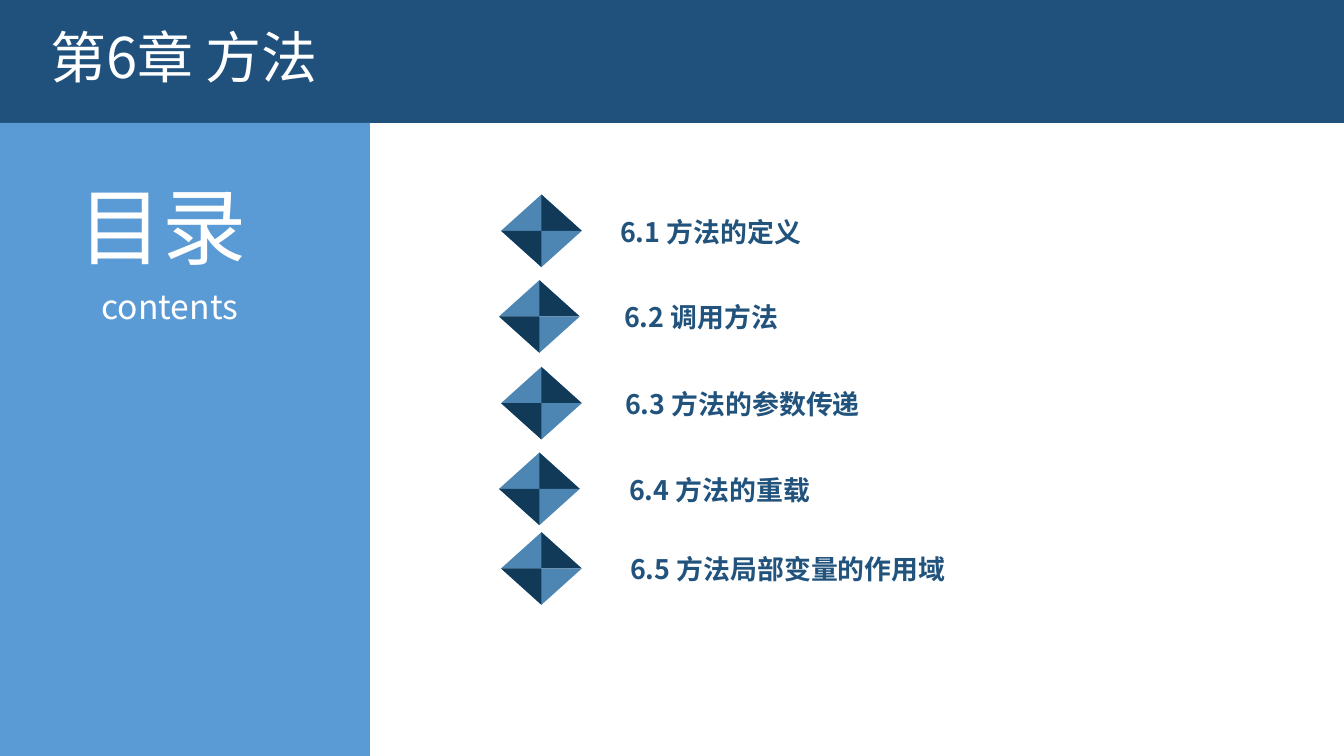
from dataclasses import dataclass

import pptx
import pptx.dml.color
import pptx.enum.shapes
import pptx.enum.text
import pptx.oxml.ns
import pptx.util
from lxml import etree

Inches = pptx.util.Inches
Kind = pptx.enum.shapes.MSO_SHAPE
FACE = "Noto Sans CJK SC"
WHITE, NAVY, SKY = "FFFFFF", "20517C", "5B9BD5"
INK, LIGHT, DARK = "21537D", "4D86B3", "113A59"
HALF, RISE = 0.4, 0.36  # half width and half height of a diamond


@dataclass
class Label:
    text: str
    left: float
    top: float
    width: float
    height: float
    size: int
    color: str = WHITE
    item: bool = False
    just: bool = False


@dataclass
class Entry:
    text: str
    mid: float
    top: float
    left: float
    width: float


LABELS = [
    Label("目录", 0.68, 1.68, 2.19, 1.11, 60, just=True),
    Label("contents", 0.91, 2.79, 1.74, 0.51, 24, just=True),
    Label("第6章 方法", 0.4, 0.17, 8.06, 0.77, 40),
]
ENTRIES = [
    Entry("6.1 方法的定义", 5.37, 1.93, 6.07, 2.45),
    Entry("6.2 调用方法", 5.35, 2.78, 6.11, 2.12),
    Entry("6.3 方法的参数传递", 5.37, 3.64, 6.12, 3.13),
    Entry("6.4 方法的重载", 5.35, 4.49, 6.16, 2.45),
    Entry("6.5 方法局部变量的作用域", 5.37, 5.28, 6.17, 4.13),
]


def rgb(code: str) -> pptx.dml.color.RGBColor:
    return pptx.dml.color.RGBColor.from_string(code)


def paint(shape, color: str) -> None:
    shape.shadow.inherit = False
    shape.fill.solid()
    shape.fill.fore_color.rgb = rgb(color)
    shape.line.fill.background()


def block(shapes, kind, left: float, top: float, width: float, height: float, color: str):
    shape = shapes.add_shape(kind, Inches(left), Inches(top), Inches(width), Inches(height))
    paint(shape, color)
    return shape


def wedge(shapes, mid: float, tip: float, base: float, end: float) -> None:
    """Dark right triangle from the tip down or up to the diamond's waist."""
    pen = shapes.build_freeform(Inches(mid), Inches(tip), scale=1.0)
    pen.add_line_segments([(Inches(mid), Inches(base)), (Inches(end), Inches(base))])
    paint(pen.convert_to_shape(), DARK)


def diamond(slide, mid: float, top: float) -> None:
    shapes = slide.shapes.add_group_shape().shapes
    left, waist = mid - HALF, top + RISE
    block(shapes, Kind.ISOSCELES_TRIANGLE, left, top, 2 * HALF, RISE, LIGHT)
    wedge(shapes, mid, top, waist, mid + HALF)
    lower = block(shapes, Kind.ISOSCELES_TRIANGLE, left, waist, 2 * HALF, RISE, LIGHT)
    lower.rotation = 180
    wedge(shapes, mid, waist + RISE, waist, left)


def write(slide, label: Label) -> None:
    box = slide.shapes.add_textbox(
        Inches(label.left), Inches(label.top), Inches(label.width), Inches(label.height))
    frame = box.text_frame
    frame.word_wrap = not label.item
    frame.auto_size = pptx.enum.text.MSO_AUTO_SIZE.SHAPE_TO_FIT_TEXT
    para = frame.paragraphs[0]
    para.text = label.text
    if label.just:
        para.alignment = pptx.enum.text.PP_ALIGN.JUSTIFY
    font = para.font
    font.name, font.size = FACE, pptx.util.Pt(label.size)
    font.color.rgb = rgb(label.color)
    qn = pptx.oxml.ns.qn
    run = para.runs[0]._r.get_or_add_rPr()
    etree.SubElement(run, qn("a:ea")).set("typeface", FACE)
    if label.item:
        font.bold = True
        run.set("cap", "small")
        frame.margin_left = frame.margin_right = Inches(0.08)
        frame.margin_top = frame.margin_bottom = Inches(0.04)


def main() -> None:
    deck = pptx.Presentation()
    deck.slide_width, deck.slide_height = Inches(13.33), Inches(7.5)
    slide = deck.slides.add_slide(deck.slide_layouts[6])
    block(slide.shapes, Kind.RECTANGLE, 0, 0, 13.33, 1.22, NAVY)
    block(slide.shapes, Kind.RECTANGLE, 0, 1.22, 3.67, 6.28, SKY)
    for label in LABELS:
        write(slide, label)
    for row in ENTRIES:
        diamond(slide, row.mid, row.top)
        write(slide, Label(row.text, row.left, row.top + 0.1, row.width, 0.48, 24, INK, item=True))
    deck.save("out.pptx")


if __name__ == "__main__":
    main()
